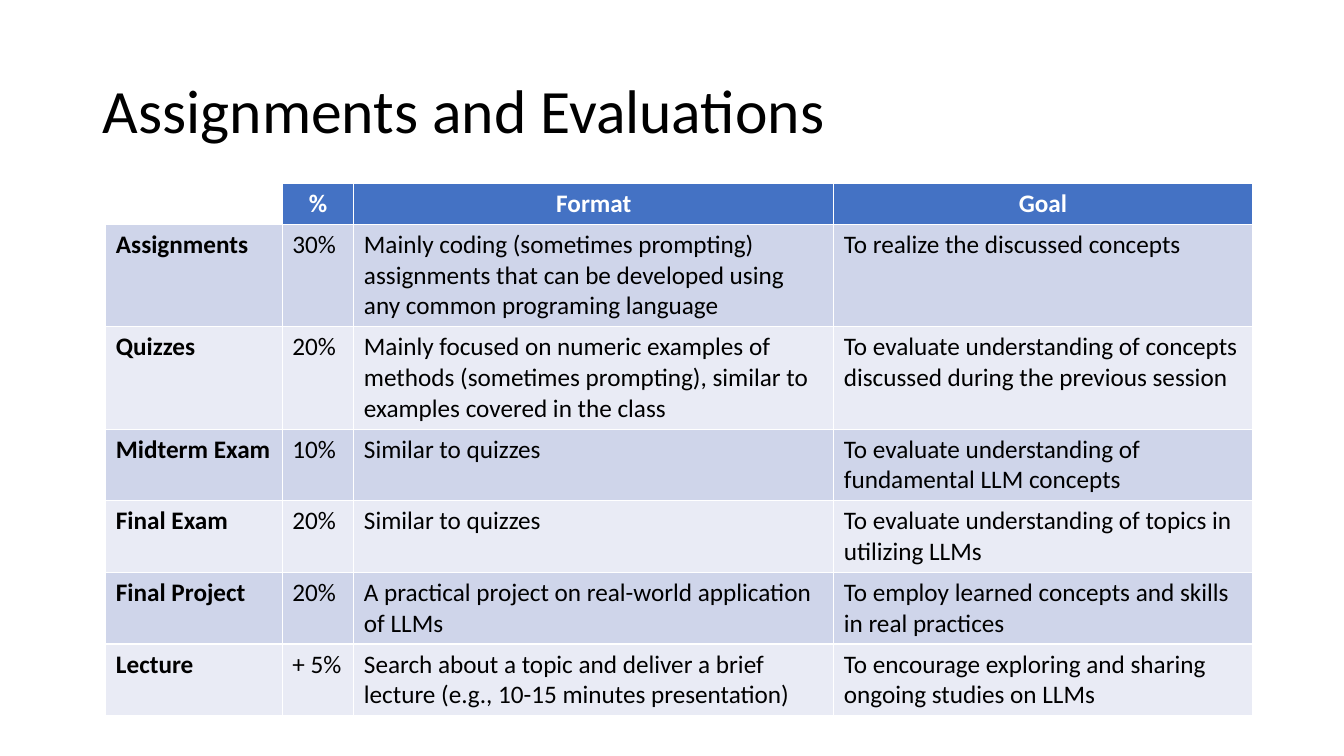
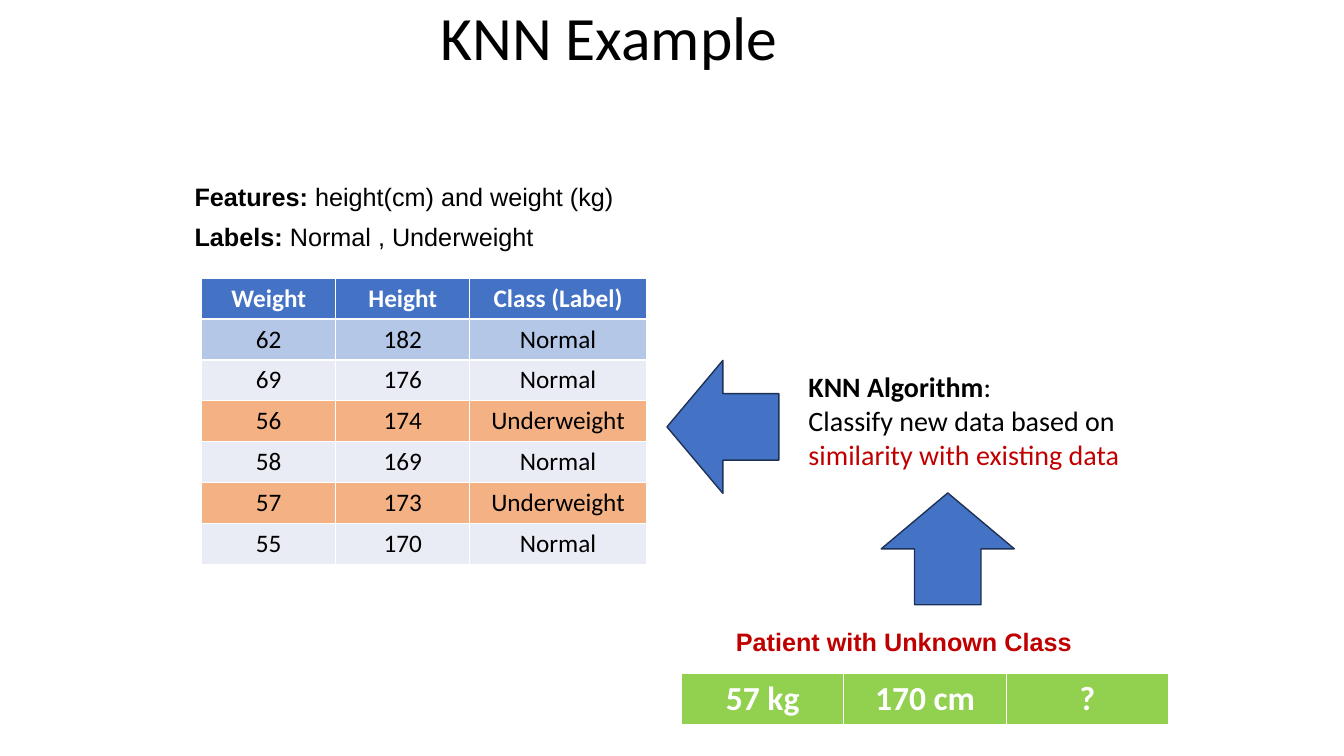
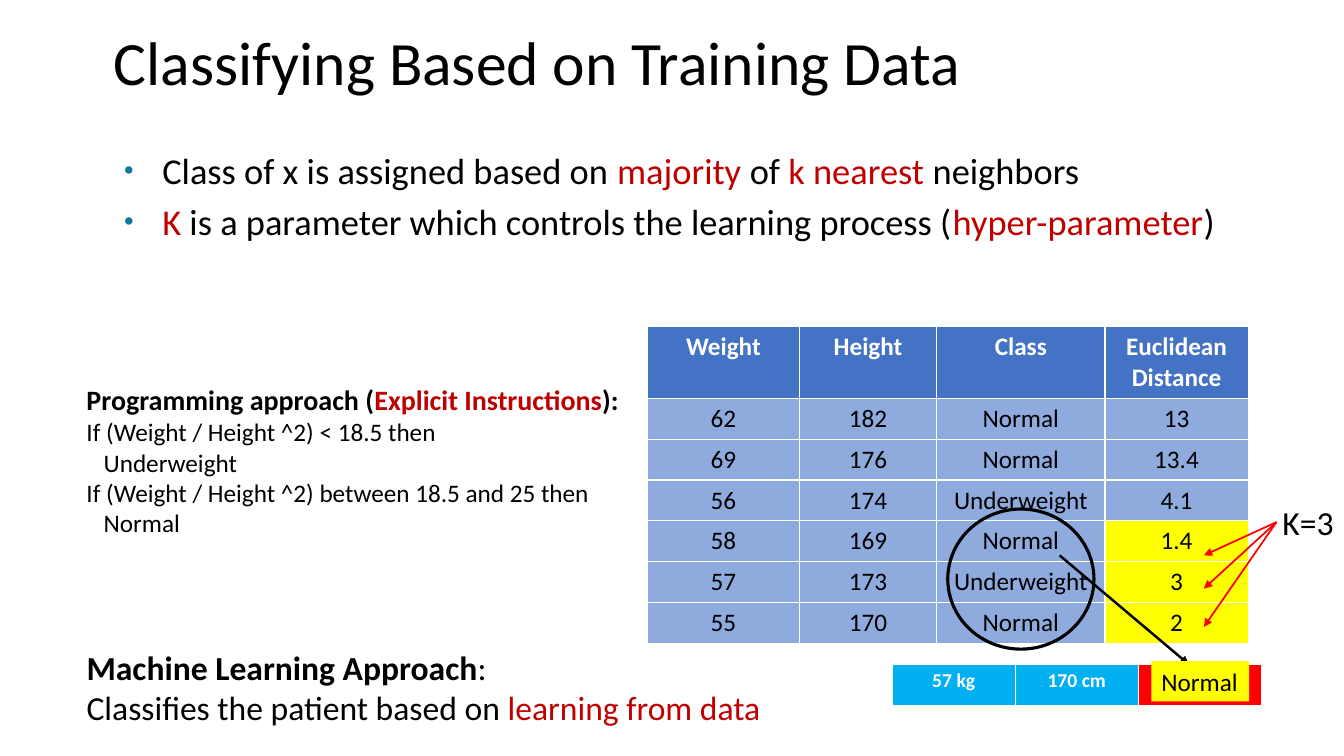
from dataclasses import dataclass
from lxml.etree import SubElement
from pptx import Presentation
from pptx.dml.color import RGBColor as Rgb
from pptx.enum.shapes import MSO_CONNECTOR as Connector, MSO_SHAPE as Shape
from pptx.enum.text import MSO_ANCHOR as Anchor, MSO_AUTO_SIZE as AutoSize, PP_ALIGN as Align
from pptx.oxml.ns import qn
from pptx.util import Inches, Pt


@dataclass(frozen=True)
class Theme:
    white: str = "FFFFFF"
    black: str = "000000"
    blue: str = "4472C4"
    outline: str = "1E3256"
    band_dark: str = "CFD5EA"
    band_light: str = "E9EBF5"
    first_patient: str = "B4C7E7"
    underweight: str = "F4B183"
    training: str = "8FAADC"
    nearest: str = "FFFF00"
    green: str = "92D050"
    cyan: str = "00B0F0"
    red: str = "FF0000"
    accent: str = "C00000"
    bullet: str = "0C7B9C"
    font: str = "Calibri"
    plain_font: str = "Arial"
    title: int = 44
    bullets: int = 26
    large: int = 24
    medium: int = 20
    body: int = 18
    small: int = 14


theme = Theme()
BOLD = {"bold": True}
ACCENT = {"color": theme.accent}


def write(frame, lines, span_format=None, para_format=None, frame_format=None, gap=0):
    frame_values = {"word_wrap": True, "auto_size": AutoSize.NONE, "vertical_anchor": Anchor.TOP}
    for name, value in {**frame_values, **(frame_format or {})}.items():
        setattr(frame, name, value)
    for index, line in enumerate(lines):
        para = frame.add_paragraph() if index else frame.paragraphs[0]
        para_values = {"alignment": Align.LEFT, "space_before": Pt(gap if index else 0)}
        for name, value in {**para_values, **(para_format or {})}.items():
            setattr(para, name, value)
        for text, changes in line:
            span = para.add_run()
            span.text = text
            values = {"name": theme.font, "size": theme.body, "bold": False, "color": theme.black,
                      **(span_format or {}), **changes}
            span.font.color.rgb = Rgb.from_string(values.pop("color"))
            values["size"] = Pt(values["size"])
            for name, value in values.items():
                setattr(span.font, name, value)


def add_grid(page, left, top, widths, heights, rows, fill_of, align_of, format_of):
    size = len(rows), len(widths)
    place = map(Inches, (left, top, sum(widths), sum(heights)))
    table = page.shapes.add_table(*size, *place).table
    for column, width in zip(table.columns, widths):
        column.width = Inches(width)
    for r, (row, height) in enumerate(zip(rows, heights)):
        table.rows[r].height = Inches(height)
        for c, text in enumerate(row):
            cell = table.cell(r, c)
            cell.fill.solid()
            cell.fill.fore_color.rgb = Rgb.from_string(fill_of(r, c))
            if text:
                write(cell.text_frame, [[(text, {})]], format_of(r, c), {"alignment": align_of(r)})


deck = Presentation()
deck.slide_width, deck.slide_height = Inches(13.33), Inches(7.5)

pages = []
for layout, title, place, align in [
    (5, "Assignments and Evaluations", (0.92, 0.4, 11.5, 1.45), Align.LEFT),
    (1, "KNN Example", (0.42, 0, 11.24, 0.81), Align.CENTER),
    (1, "Classifying Based on Training Data", (1.03, 0.25, 10, 0.81), Align.LEFT),
]:
    page = deck.slides.add_slide(deck.slide_layouts[layout])
    for name, value in zip(("left", "top", "width", "height"), place):
        setattr(page.shapes.title, name, Inches(value))
    write(page.shapes.title.text_frame, [[(title, {})]], {"size": theme.title},
          {"alignment": align, "line_spacing": 0.9}, {"vertical_anchor": Anchor.MIDDLE})
    pages.append(page)
evaluation_page, example_page, training_page = pages

header_format = {"color": theme.white, "bold": True}
evaluations = [
    ("", "%", "Format", "Goal"),
    ("Assignments", "30%",
     "Mainly coding (sometimes prompting) assignments that can be developed using any common programing language",
     "To realize the discussed concepts"),
    ("Quizzes", "20%",
     "Mainly focused on numeric examples of methods (sometimes prompting), similar to examples covered in the class",
     "To evaluate understanding of concepts discussed during the previous session"),
    ("Midterm Exam", "10%", "Similar to quizzes", "To evaluate understanding of fundamental LLM concepts"),
    ("Final Exam", "20%", "Similar to quizzes", "To evaluate understanding of topics in utilizing LLMs"),
    ("Final Project", "20%", "A practical project on real-world application of LLMs",
     "To employ learned concepts and skills in real practices"),
    ("Lecture", "+ 5%", "Search about a topic and deliver a brief lecture (e.g., 10-15 minutes presentation)",
     "To encourage exploring and sharing ongoing studies on LLMs"),
]
add_grid(
    evaluation_page, 1.05, 1.82, (1.75, 0.71, 4.76, 4.15), [0.4] + [1.01] * 2 + [0.7] * 4, evaluations,
    lambda r, c: (theme.band_dark if r % 2 else theme.band_light) if r else theme.blue if c else theme.white,
    lambda r: Align.LEFT if r else Align.CENTER,
    lambda r, c: {"bold": c == 0} if r else header_format)

patients = [
    ("62", "182", "Normal"), ("69", "176", "Normal"), ("56", "174", "Underweight"),
    ("58", "169", "Normal"), ("57", "173", "Underweight"), ("55", "170", "Normal"),
]
distances = ("13", "13.4", "4.1", "1.4", "3", "2")
example_fills = [theme.blue, theme.first_patient] + [
    theme.underweight if patient[2] == "Underweight" else theme.band_light for patient in patients[1:]]
add_grid(
    example_page, 2, 2.76, (1.33, 1.33, 1.75), [0.4] * 7, [("Weight", "Height", "Class (Label)")] + patients,
    lambda r, c: example_fills[r], lambda r: Align.CENTER, lambda r, c: {} if r else header_format)
add_grid(
    example_page, 6.76, 6.68, [1.61] * 3, [0.5], [("57 kg", "170 cm", "?")],
    lambda r, c: theme.green, lambda r: Align.CENTER, lambda r, c: {**header_format, "size": theme.large})

features = example_page.placeholders[1]
bullets = training_page.placeholders[1]
for body, place in [(features, (1.83, 1.78, 9.18, 0.8)), (bullets, (1.13, 1.42, 11.98, 1.61))]:
    for name, value in zip(("left", "top", "width", "height"), place):
        setattr(body, name, Inches(value))
write(features.text_frame,
      [[("Features: ", BOLD), ("height(cm) and weight (kg)", {})],
       [("Labels: ", BOLD), ("Normal , Underweight", {})]],
      {"name": theme.plain_font}, {"line_spacing": 0.9}, gap=9)
for para in features.text_frame.paragraphs:
    properties = para._p.get_or_add_pPr()
    properties.set("marL", "0")
    properties.set("indent", "0")
    SubElement(properties, qn("a:buNone"))

for place, lines, span_format in [
    ((7.2, 6.16, 4.46, 0.41), [[("Patient with Unknown Class", BOLD)]],
     {"name": theme.plain_font, **ACCENT}),
    ((7.92, 3.62, 4.19, 1.11),
     [[("KNN Algorithm", BOLD), (":", {})],
      [("Classify new data based on ", {}), ("similarity with existing data", ACCENT)]],
     {"size": theme.medium}),
]:
    write(example_page.shapes.add_textbox(*map(Inches, place)).text_frame, lines, span_format)

for left, top, rotation in [(8.74, 4.89, 0), (6.51, 3.68, 270)]:
    arrow = example_page.shapes.add_shape(Shape.UP_ARROW, *map(Inches, (left, top, 1.32, 1.11)))
    arrow.rotation = rotation
    arrow.shadow.inherit = False
    arrow.fill.solid()
    arrow.fill.fore_color.rgb = Rgb.from_string(theme.blue)
    arrow.line.color.rgb = Rgb.from_string(theme.outline)
    arrow.line.width = Pt(1)

write(bullets.text_frame,
      [[("Class of x is assigned based on ", {}), ("majority", ACCENT), (" of ", {}),
        ("k nearest ", ACCENT), ("neighbors", {})],
       [("K", ACCENT), (" is a parameter which controls the learning process (", {}),
        ("hyper-parameter", ACCENT), (")", {})]],
      {"size": theme.bullets}, gap=5.5)
for para in bullets.text_frame.paragraphs:
    properties = para._p.get_or_add_pPr()
    properties.set("marL", str(Inches(0.38)))
    properties.set("indent", str(Inches(-0.38)))
    SubElement(SubElement(properties, qn("a:buClr")), qn("a:srgbClr"), val=theme.bullet)
    SubElement(properties, qn("a:buSzPct"), val="75000")
    SubElement(properties, qn("a:buFont"), typeface=theme.plain_font)
    SubElement(properties, qn("a:buChar"), char="•")

training_rows = [patient + (distance,) for patient, distance in zip(patients, distances)]
add_grid(
    training_page, 6.42, 3.24, (1.51, 1.36, 1.67, 1.42), [0.7] + [0.4] * 6,
    [("Weight", "Height", "Class", "Euclidean Distance")] + training_rows,
    lambda r, c: theme.blue if r == 0 else theme.nearest if c == 3 and r > 3 else theme.training,
    lambda r: Align.CENTER, lambda r, c: {} if r else header_format)
add_grid(
    training_page, 8.85, 6.59, [1.22] * 3, [0.35], [("57 kg", "170 cm", "")],
    lambda r, c: theme.red if c == 2 else theme.cyan,
    lambda r: Align.CENTER, lambda r, c: {**header_format, "size": theme.small})

for start, end, color, width in [
    ((12.66, 5.18), (11.94, 5.51), theme.red, 1.25),
    ((12.66, 5.18), (11.94, 5.84), theme.red, 1.25),
    ((12.66, 5.18), (11.94, 6.22), theme.red, 1.25),
    ((10.51, 5.51), (11.79, 6.59), theme.black, 1.75),
]:
    pointer = training_page.shapes.add_connector(Connector.STRAIGHT, *map(Inches, start + end))
    pointer.line.color.rgb = Rgb.from_string(color)
    pointer.line.width = Pt(width)
    properties = pointer._element.spPr
    SubElement(properties.find(qn("a:ln")), qn("a:tailEnd"), type="triangle")
    SubElement(properties, qn("a:effectLst"))

circle = training_page.shapes.add_shape(Shape.OVAL, *map(Inches, (9.4, 5.05, 1.45, 1.39)))
circle.shadow.inherit = False
circle.fill.background()
circle.line.color.rgb = Rgb.from_string(theme.black)
circle.line.width = Pt(2.25)

answer = training_page.shapes.add_shape(Shape.RECTANGLE, *map(Inches, (11.42, 6.56, 0.97, 0.4)))
answer.shadow.inherit = False
answer.fill.solid()
answer.fill.fore_color.rgb = Rgb.from_string(theme.nearest)
answer.line.fill.background()
write(answer.text_frame, [[("Normal", {})]], frame_format={"word_wrap": False})

neighbor_count = training_page.shapes.add_textbox(*map(Inches, (12.62, 4.93, 0.71, 0.5)))
write(neighbor_count.text_frame, [[("K=3", {})]], {"size": theme.large}, frame_format={"word_wrap": False})

learning = training_page.shapes.add_textbox(*map(Inches, (0.76, 6.37, 8.85, 0.91)))
write(learning.text_frame,
      [[("Machine Learning Approach", BOLD), (":", {})],
       [("Classifies the patient based on ", {}), ("learning from data", ACCENT)]],
      {"size": theme.large})

programming = training_page.shapes.add_textbox(*map(Inches, (0.76, 3.75, 6.67, 1.65)))
heading = {"size": theme.medium, **BOLD}
write(programming.text_frame,
      [[("Programming approach (", heading), ("Explicit Instructions", {**heading, **ACCENT}), ("):", heading)],
       [("If (Weight / Height ^2) < 18.5 then", {})],
       [("Underweight", {})],
       [("If (Weight / Height ^2) between 18.5 and 25 then", {})],
       [("Normal", {})]])
for para in programming.text_frame.paragraphs[2::2]:
    para._p.get_or_add_pPr().set("marL", str(Inches(0.17)))

deck.save("out.pptx")
